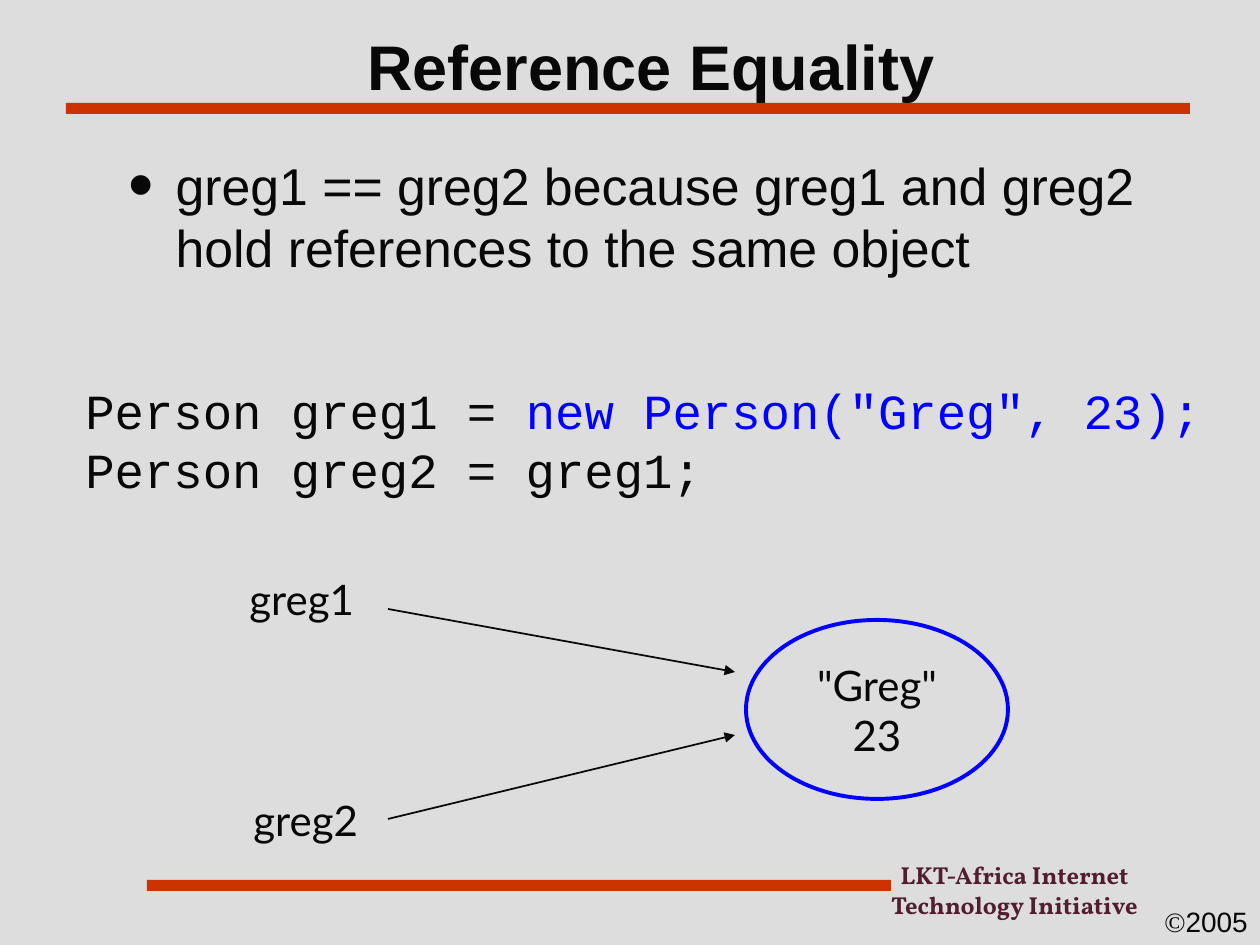
"""Builds the Reference Equality slide: two names that point to one object."""
from lxml import etree
from pptx import Presentation
from pptx.dml.color import RGBColor
from pptx.enum.shapes import MSO_CONNECTOR, MSO_SHAPE
from pptx.enum.text import MSO_ANCHOR, MSO_AUTO_SIZE, PP_ALIGN
from pptx.oxml.ns import qn
from pptx.util import Emu, Pt

RECT, OVAL = MSO_SHAPE.RECTANGLE, MSO_SHAPE.OVAL
STRAIGHT = MSO_CONNECTOR.STRAIGHT
LEFT, CENTER = PP_ALIGN.LEFT, PP_ALIGN.CENTER
TOP, MIDDLE = MSO_ANCHOR.TOP, MSO_ANCHOR.MIDDLE
NO_FIT = MSO_AUTO_SIZE.NONE
PX = 914400 // 126

COLORS = {"page": "DDDDDD", "ink": "080808", "blue": "0000FF",
          "bar": "CC3300", "footer": "511D30"}

TITLE = [[("Reference Equality", "Arial", "ink")]]
BODY = [[("greg1 == greg2 because greg1 and greg2 hold references to the same object",
          "Arial", "ink")]]
CODE = [[("Person greg1 = ", "Courier New", "ink"),
         ('new Person("Greg", 23);', "Courier New", "blue")],
        [("Person greg2 = greg1;", "Courier New", "ink")]]
OBJECT = [[('"Greg"', "Lato", "ink")], [("23", "Lato", "ink")]]
YEAR = [[("©", "Times New Roman", "ink"), ("2005", "Arial", "ink")]]
FOOTER = [[("LKT-Africa Internet Technology Initiative", "Vollkorn", "footer")]]

BARS = [(147, 880, 744, 11), (66, 103, 1124, 11)]
REFERENCES = [("greg1", (237, 567, 141, 63), (388, 609, 735, 672)),
              ("greg2", (241, 788, 141, 63), (388, 819, 735, 735))]


def color(name):
    return RGBColor.from_string(COLORS[name])


def emu(lengths):
    return [Emu(length * PX) for length in lengths]


def write(shape, paragraphs, size, align=LEFT, anchor=TOP, bold=False, wrap=True):
    frame = shape.text_frame
    frame.auto_size = NO_FIT
    frame.word_wrap = wrap
    frame.vertical_anchor = anchor
    for index, spans in enumerate(paragraphs):
        para = frame.add_paragraph() if index else frame.paragraphs[0]
        para.alignment = align
        for text, font, ink in spans:
            span = para.add_run()
            span.text = text
            span.font.name = font
            span.font.size = Pt(size)
            span.font.bold = bold
            span.font.color.rgb = color(ink)


def place(shape, box):
    shape.left, shape.top, shape.width, shape.height = emu(box)
    return shape


def add_text(page, box, paragraphs, size, **style):
    write(page.shapes.add_textbox(*emu(box)), paragraphs, size, **style)


def add_bar(page, box):
    bar = page.shapes.add_shape(RECT, *emu(box))
    bar.shadow.inherit = False
    bar.fill.solid()
    bar.fill.fore_color.rgb = color("bar")
    bar.line.fill.background()


def add_arrow(page, ends):
    arrow = page.shapes.add_connector(STRAIGHT, *emu(ends))
    arrow.line.color.rgb = color("ink")
    arrow.line.width = Pt(1)
    etree.SubElement(arrow.line._get_or_add_ln(), qn("a:tailEnd"), type="triangle")
    etree.SubElement(arrow._element.spPr, qn("a:effectLst"))


def add_bullet(para):
    para.space_before = Pt(8)
    props = para._p.get_or_add_pPr()
    props.set("marL", str(47 * PX))
    props.set("indent", str(-47 * PX))
    bullet_color = etree.SubElement(props, qn("a:buClr"))
    etree.SubElement(bullet_color, qn("a:srgbClr"), val=COLORS["ink"])
    etree.SubElement(props, qn("a:buSzPct"), val="140000")
    etree.SubElement(props, qn("a:buFont"), typeface="Arial")
    etree.SubElement(props, qn("a:buChar"), char="•")


def main():
    deck = Presentation()
    deck.slide_width, deck.slide_height = emu((1260, 945))
    page = deck.slides.add_slide(deck.slide_layouts[1])
    page.background.fill.solid()
    page.background.fill.fore_color.rgb = color("page")

    add_text(page, (1152, 898, 108, 47), YEAR, 16, wrap=False)
    add_text(page, (828, 854, 373, 72), FOOTER, 14, align=CENTER, bold=True)
    for box in BARS:
        add_bar(page, box)

    title, body = page.placeholders
    write(place(title, (89, 21, 1124, 88)), TITLE, 36, CENTER, MIDDLE, bold=True)
    write(place(body, (116, 147, 1071, 178)), BODY, 29.6)
    add_bullet(body.text_frame.paragraphs[0])
    add_text(page, (73, 374, 1155, 131), CODE, 28)

    person = page.shapes.add_shape(OVAL, *emu((746, 620, 262, 179)))
    person.shadow.inherit = False
    person.fill.background()
    person.line.color.rgb = color("blue")
    person.line.width = Pt(2.25)
    write(person, OBJECT, 24, CENTER, MIDDLE, wrap=False)

    for name, box, ends in REFERENCES:
        add_text(page, box, [[(name, "Lato", "ink")]], 24, wrap=False)
        add_arrow(page, ends)
    deck.save("out.pptx")


if __name__ == "__main__":
    main()
